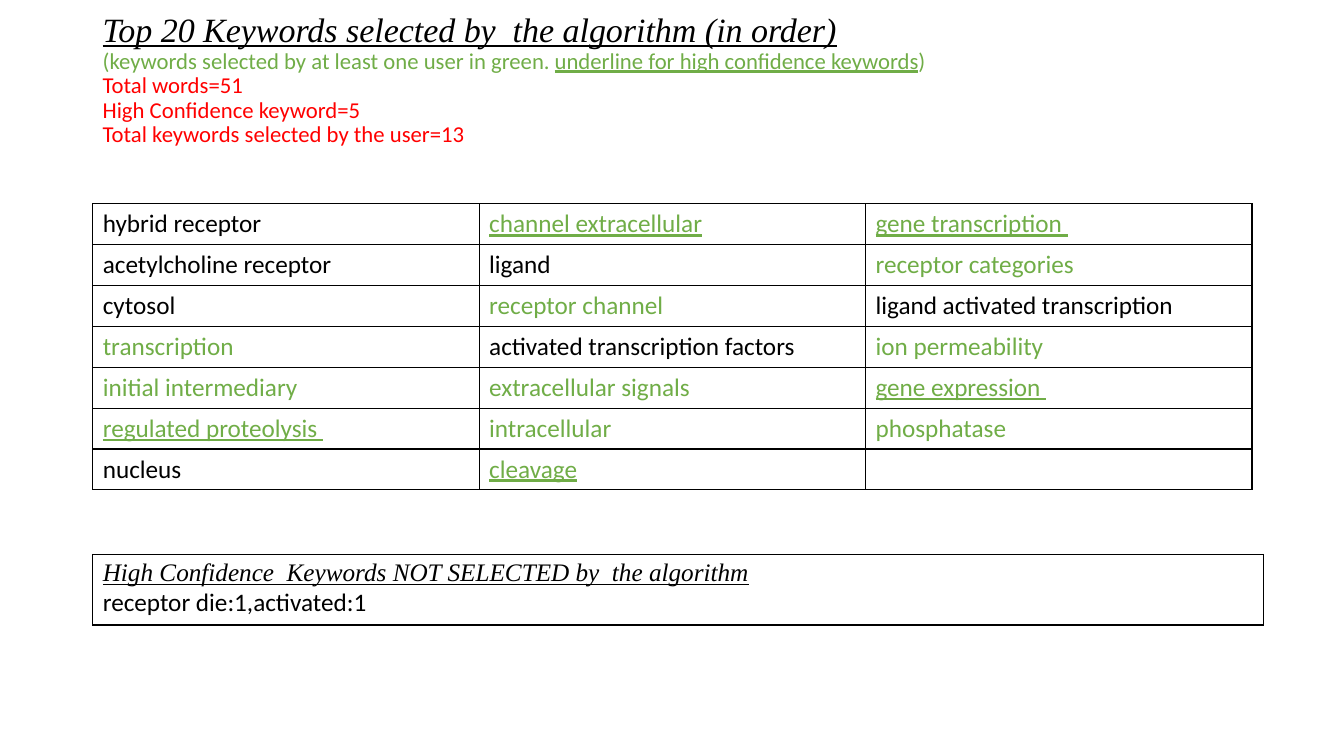
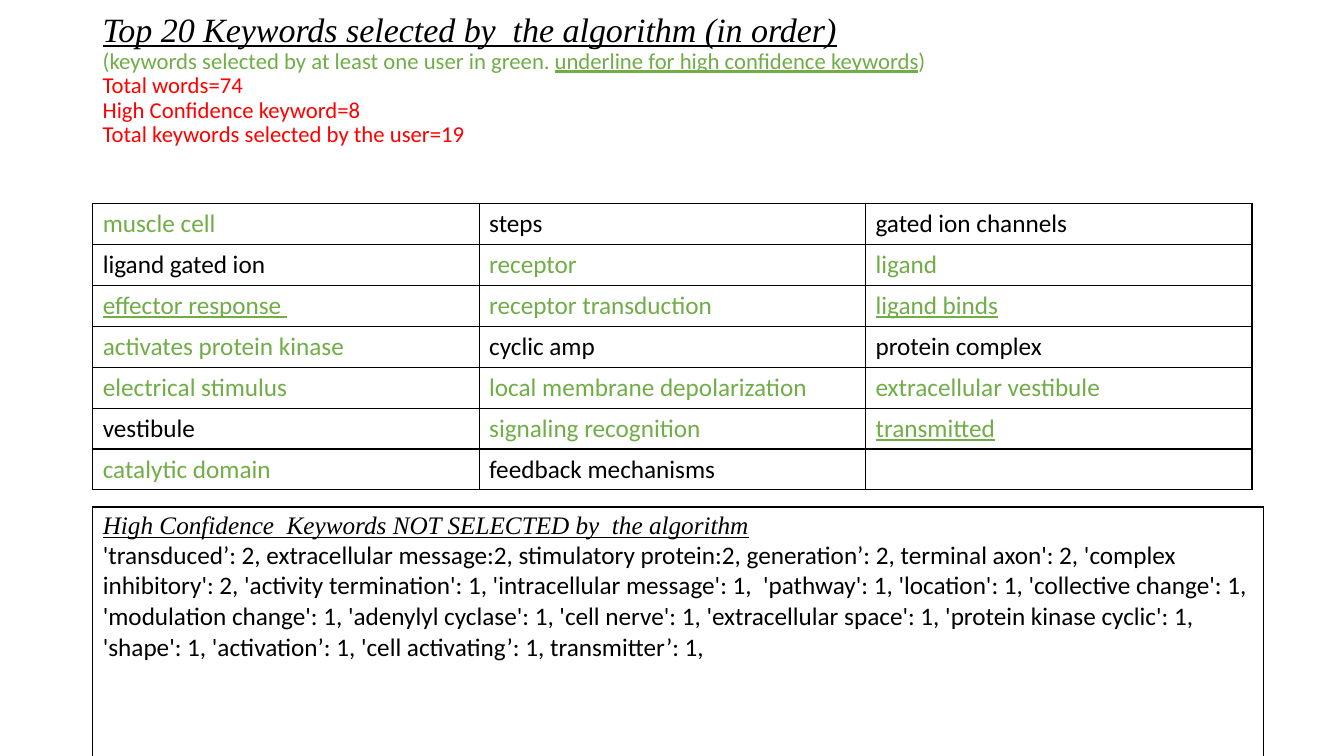
import copy
from lxml import etree
from pptx import Presentation, util as u
from pptx.dml.color import RGBColor
from pptx.enum import text
from pptx.oxml.ns import qn

COLORS = {"ink": "000000", "picked": "70AD47", "count": "FF0000"}
SERIF, SANS = "Times New Roman", "Calibri"

# Lengths in percent of the slide's width or height
LEFT, WIDE, NOTE_WIDE = 6.9, 86.25, 87.1
TITLE_TOP, TITLE_HIGH = 5.33, 19.33
TABLE_TOP, ROW_HIGH = 26.95, 5.41

HEADING = "Top 20 Keywords selected by  the algorithm (in order)"
NOTE_HEADING = "High Confidence  Keywords NOT SELECTED by  the algorithm"


class Deck:
    """Shared style and the slide being built."""

    def __init__(self):
        self.prs = Presentation()
        self.prs.slide_width, self.prs.slide_height = u.Inches(13.33), u.Inches(7.5)

    def new_slide(self):
        self.s = self.prs.slides.add_slide(self.prs.slide_layouts[6])

    def box(self, left, top, width, height):
        w, h = self.prs.slide_width / 100, self.prs.slide_height / 100
        return [int(v) for v in (left * w, top * h, width * w, height * h)]

    def style(self, r, size=18, color="ink", font=SANS, italic=False, underline=False):
        r.font.size, r.font.name = u.Pt(size), font
        r.font.italic, r.font.underline = italic, underline
        r.font.color.rgb = RGBColor.from_string(COLORS[color])

    def title(self, lines):
        """One paragraph; each line is a list of (words, style) runs."""
        sp = self.s.shapes.add_textbox(*self.box(LEFT, TITLE_TOP, WIDE, TITLE_HIGH))
        tf = sp.text_frame
        tf.word_wrap = True
        tf.vertical_anchor = text.MSO_ANCHOR.MIDDLE
        p = tf.paragraphs[0]
        p.line_spacing = 0.9
        for line in lines:
            for words, look in line:
                r = p.add_run()
                r.text = words
                self.style(r, **look)
            p.add_line_break()
            p._p[-1].append(copy.deepcopy(r._r.rPr))
        # The closing empty line is taller than the rest
        etree.SubElement(p._p, qn("a:endParaRPr"), sz="3960")

    def border(self, cell):
        tcPr = cell._tc.get_or_add_tcPr()
        for i, side in enumerate(("lnL", "lnR", "lnT", "lnB")):
            ln = etree.Element(qn("a:" + side), w=str(u.Pt(1)))
            fill = etree.SubElement(ln, qn("a:solidFill"))
            etree.SubElement(fill, qn("a:srgbClr"), val=COLORS["ink"])
            tcPr.insert(i, ln)

    def table(self, rows, top, width, row_high):
        """Each cell is a list of (words, style) paragraphs."""
        frame = self.s.shapes.add_table(
            len(rows), len(rows[0]), *self.box(LEFT, top, width, row_high * len(rows)))
        tbl = frame.table
        tbl.first_row = tbl.horz_banding = False
        for i, row in enumerate(rows):
            for j, paragraphs in enumerate(row):
                cell = tbl.cell(i, j)
                cell.fill.background()
                self.border(cell)
                cell.text_frame.text = "\n".join(words for words, _ in paragraphs)
                for p, (_, look) in zip(cell.text_frame.paragraphs, paragraphs):
                    for r in p.runs:
                        self.style(r, **look)


# "+" marks a keyword picked by a user, "*" one of high confidence
MARKS = {"+": dict(color="picked"), "*": dict(color="picked", underline=True)}


def keyword(word):
    return [(word.lstrip("+*"), MARKS.get(word[:1], {}))]


def keyword_slide(deck, counts, keywords, missed, note_top, note_high):
    deck.new_slide()
    # Title with the counts
    green = dict(size=16.2, color="picked")
    labels = ("Total words", "High Confidence keyword", "Total keywords selected by the user")
    deck.title([
        [(HEADING, dict(size=24.3, font=SERIF, italic=True, underline=True))],
        [("(keywords selected by at least one user in green. ", green),
         ("underline for high confidence keywords", dict(green, underline=True)),
         (") ", green)],
        *[[(f"{label}={n}", dict(size=16.2, color="count"))]
          for label, n in zip(labels, counts)]])
    # Keywords in order
    deck.table([[keyword(w) for w in row] for row in keywords], TABLE_TOP, WIDE, ROW_HIGH)
    # Missed keywords
    deck.table([[[(NOTE_HEADING, dict(font=SERIF, italic=True, underline=True)),
                  (missed, {})]]], note_top, NOTE_WIDE, note_high)


deck = Deck()

keyword_slide(deck, (51, 5, 13), [
    ("hybrid receptor", "*channel extracellular", "*gene transcription "),
    ("acetylcholine receptor", "ligand", "+receptor categories"),
    ("cytosol", "+receptor channel", "ligand activated transcription"),
    ("+transcription", "activated transcription factors", "+ion permeability"),
    ("+initial intermediary", "+extracellular signals", "*gene expression "),
    ("*regulated proteolysis ", "+intracellular", "+phosphatase"),
    ("nucleus", "*cleavage", ""),
], "receptor die:1,activated:1", 73.33, 9.2)

keyword_slide(deck, (74, 8, 19), [
    ("+muscle cell", "steps", "gated ion channels"),
    ("ligand gated ion", "+receptor", "+ligand"),
    ("*effector response ", "+receptor transduction", "*ligand binds"),
    ("+activates protein kinase", "cyclic amp", "protein complex"),
    ("+electrical stimulus", "+local membrane depolarization", "+extracellular vestibule"),
    ("vestibule", "+signaling recognition", "*transmitted"),
    ("+catalytic domain", "feedback mechanisms", ""),
], "'transduced’: 2, extracellular message:2, stimulatory protein:2, generation’: 2, "
   "terminal axon': 2, 'complex inhibitory': 2, 'activity termination': 1, "
   "'intracellular message': 1,  'pathway': 1, 'location': 1, 'collective change': 1, "
   "'modulation change': 1, 'adenylyl cyclase': 1, 'cell nerve': 1, "
   "'extracellular space': 1, 'protein kinase cyclic': 1, 'shape': 1, 'activation’: 1, "
   "'cell activating’: 1, transmitter’: 1,", 67.07, 33.33)

deck.prs.save("out.pptx")
